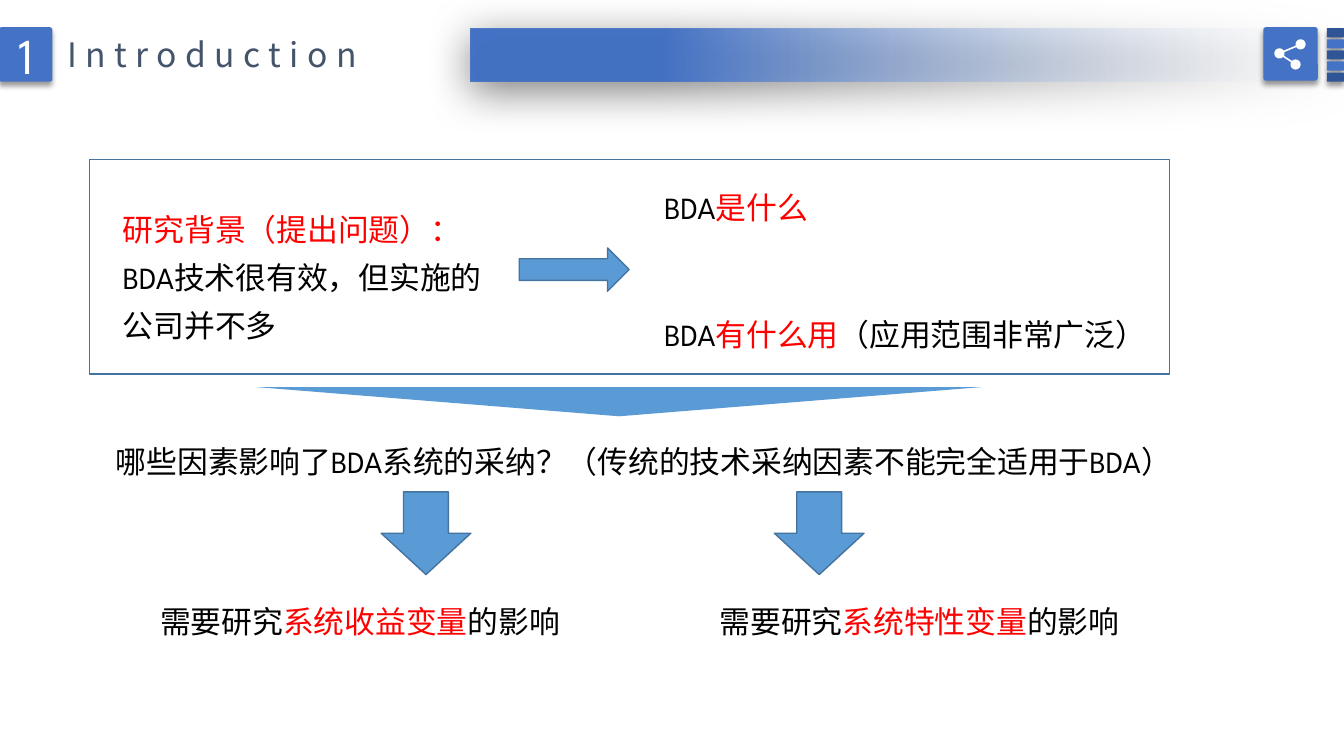
import math
import pptx
import pptx.util
import pptx.dml.color
import pptx.enum.shapes
import pptx.enum.text
import pptx.oxml
import pptx.oxml.ns

Inches = pptx.util.Inches
Pt = pptx.util.Pt
RGB = pptx.dml.color.RGBColor.from_string
KIND = pptx.enum.shapes.MSO_SHAPE
ALIGN = pptx.enum.text.PP_ALIGN
FIT = pptx.enum.text.MSO_AUTO_SIZE
ANCHOR = pptx.enum.text.MSO_ANCHOR
SPACE = pptx.oxml.ns.nsdecls("a")
HUES = {"blue": "4472C4", "navy": "2F5597", "sky": "5B9BD5", "edge": "43739E",
        "pale": "F7FAFD", "slate": "44546A", "red": "FF0000", "black": "000000",
        "white": "FFFFFF"}

deck = pptx.Presentation()
deck.slide_width = Inches(13.33)
deck.slide_height = Inches(7.5)
slide = deck.slides.add_slide(deck.slide_layouts[5])


def draw(home, kind, spot, fill=None, edge=None, shade=None):
    shape = home.add_shape(kind, *[Inches(n) for n in spot])
    shape.shadow.inherit = False
    if kind == KIND.ROUNDED_RECTANGLE:
        shape.adjustments[0] = 0.05
    if fill:
        shape.fill.solid()
        shape.fill.fore_color.rgb = RGB(HUES[fill])
    else:
        shape.fill.background()
    if edge:
        shape.line.color.rgb = RGB(HUES[edge])
        shape.line.width = Pt(1)
    else:
        shape.line.fill.background()
    if shade:
        alpha, blur, dist, turn = shade
        glow = pptx.oxml.parse_xml(
            f'<a:outerShdw {SPACE} blurRad="{Pt(blur)}" dist="{Pt(dist)}" '
            f'dir="{turn * 60000}" algn="t" rotWithShape="0"><a:srgbClr val="{HUES["black"]}">'
            f'<a:alpha val="{alpha * 1000}"/></a:srgbClr></a:outerShdw>')
        shape._element.spPr.find(pptx.oxml.ns.qn("a:effectLst")).append(glow)
    return shape


def add_run(para, text, hue, size=22, font="League Spartan"):
    run = para.add_run()
    run.text = text
    run.font.size = Pt(size)
    run.font.name = font
    run.font.color.rgb = RGB(HUES[hue])
    return run


SOFT = (40, 4, 3, 90)
ROUND = KIND.ROUNDED_RECTANGLE

band = draw(slide.shapes, KIND.RECTANGLE, (4.67, 0.28, 8.66, 0.53), "blue", shade=(50, 31, 6, 97))
band.fill.gradient()
band.fill.gradient_angle = 180
for stop, place, hue in zip(band.fill.gradient_stops, (0, 0.78), ("pale", "blue")):
    stop.position = place
    stop.color.rgb = RGB(HUES[hue])
clear = pptx.oxml.parse_xml(f'<a:alpha {SPACE} val="0"/>')
band._element.xpath(".//a:gs/a:srgbClr")[0].append(clear)

badge = draw(slide.shapes, ROUND, (-0.01, 0.27, 0.53, 0.54), "blue", shade=SOFT)
badge.text_frame.vertical_anchor = ANCHOR.MIDDLE
para = badge.text_frame.paragraphs[0]
para.alignment = ALIGN.CENTER
add_run(para, "1", "white", 36)

title = slide.shapes.title
title.left, title.top, title.width, title.height = [Inches(n) for n in (0.57, 0.29, 3.21, 0.5)]
title.text_frame.word_wrap = False
title.text_frame.auto_size = FIT.SHAPE_TO_FIT_TEXT
title.text_frame.vertical_anchor = ANCHOR.TOP
para = title.text_frame.paragraphs[0]
para.alignment = ALIGN.LEFT
run = add_run(para, "Introduction", "slate", 24, "Noto Sans CJK SC")
run.font._element.set("spc", "600")

corner = slide.shapes.add_group_shape().shapes
for row in range(5):
    hue = "blue" if row % 2 else "navy"
    draw(corner, ROUND, (13.16, 0.28 + 0.11 * row, 0.17, 0.09), hue, shade=SOFT)
draw(corner, ROUND, (12.53, 0.27, 0.54, 0.53), "blue", shade=SOFT)

arcs = [(12.9, 0.44, 165, 507), (12.69, 0.53, -15, 27),
        (12.85, 0.64, 225, 567), (12.69, 0.53, 45, 327)]
dots = []
for x, y, start, end in arcs:
    for step in range(25):
        turn = math.radians(start + (end - start) * step / 24)
        dots.append((Inches(x + 0.05 * math.cos(turn)), Inches(y + 0.05 * math.sin(turn))))
pen = corner.build_freeform(*dots[0])
pen.add_line_segments(dots[1:], close=True)
share = pen.convert_to_shape()
share.shadow.inherit = False
share.fill.solid()
share.fill.fore_color.rgb = RGB(HUES["white"])
share.line.fill.background()

notes = [
    ((1.12, 1.93, 3.82, 1.5), [[("研究背景(提出问题):".replace("(", "(").replace(")", ")").replace(":", ":"), "red")],
                               [("BDA技术很有效,但实施的公司并不多".replace(",", ","), "black")]]),
    ((6.49, 1.71, 2.2, 0.53), [[("BDA", "black"), ("是什么", "red")]]),
    ((6.49, 2.97, 5.48, 0.53), [[("BDA", "black"), ("有什么用", "red"),
                                 ("\uff08应用范围非常广泛\uff09", "black")]]),
    ((1.05, 4.23, 10.92, 0.53), [[("哪些因素影响了BDA系统的采纳\uff1f\uff08传统的技术采纳因素"
                                   "不能完全适用于BDA\uff09", "black")]]),
]
notes[0] = ((1.12, 1.93, 3.82, 1.5), [[("研究背景\uff08提出问题\uff09\uff1a", "red")],
                                      [("BDA技术很有效\uff0c但实施的公司并不多", "black")]])
for left, width, topic in ((1.49, 4.53, "系统收益变量"), (7.04, 4.37, "系统特性变量")):
    notes.append(((left, 5.82, width, 0.53),
                  [[("需要研究", "black"), (topic, "red"), ("的影响", "black")]]))

for spot, lines in notes:
    frame = slide.shapes.add_textbox(*[Inches(n) for n in spot]).text_frame
    frame.word_wrap = True
    frame.auto_size = FIT.SHAPE_TO_FIT_TEXT
    for row, parts in enumerate(lines):
        para = frame.add_paragraph() if row else frame.paragraphs[0]
        para.line_spacing = 1.3
        for text, hue in parts:
            add_run(para, text, hue)

draw(slide.shapes, KIND.RIGHT_ARROW, (5.15, 2.46, 1.09, 0.43), "sky", "edge")
wedge = draw(slide.shapes, KIND.ISOSCELES_TRIANGLE, (2.54, 3.84, 7.2, 0.29), "sky")
wedge.rotation = 180
draw(slide.shapes, KIND.RECTANGLE, (0.89, 1.58, 10.71, 2.13), edge="edge")
for left in (3.78, 7.68):
    draw(slide.shapes, KIND.DOWN_ARROW, (left, 4.88, 0.89, 0.82), "sky", "edge")

deck.save("out.pptx")
